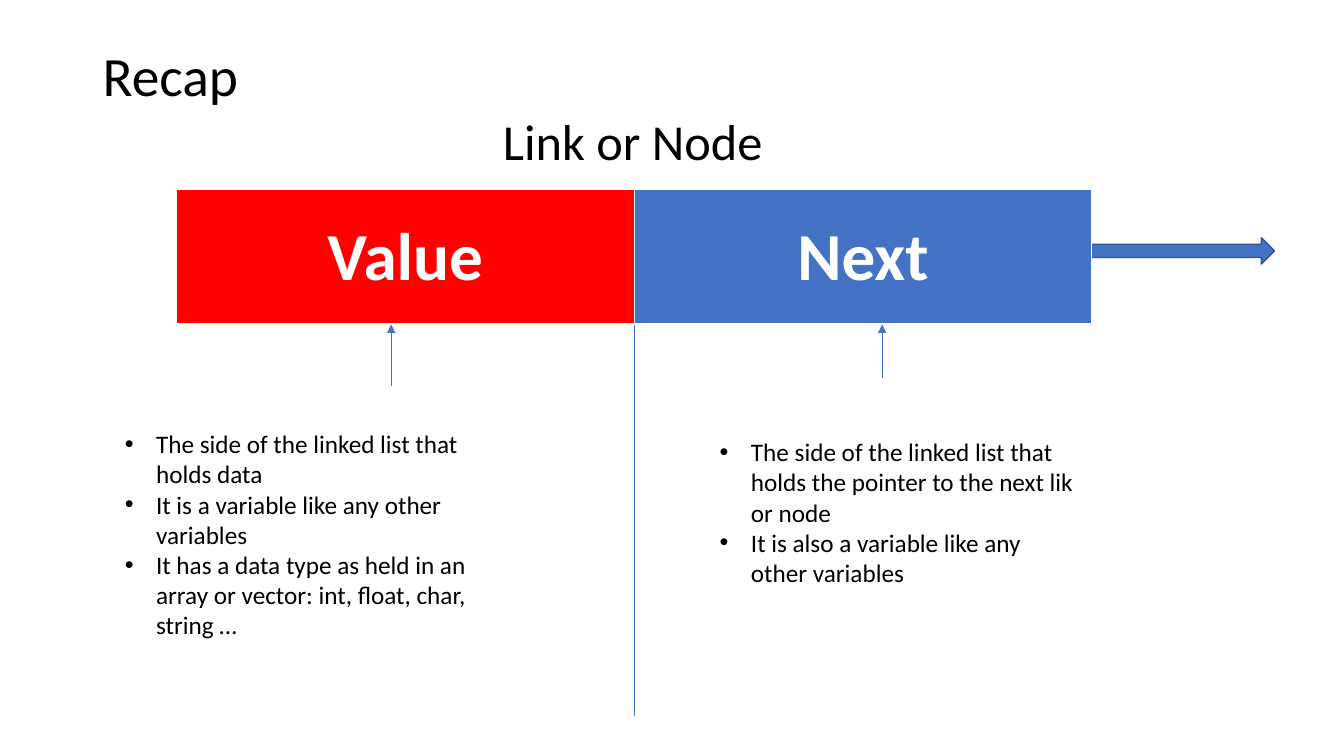
"""Build a recap slide showing the two halves of a linked list node."""
from lxml.etree import SubElement
from pptx import Presentation
from pptx.dml.color import RGBColor as Color
from pptx.enum.shapes import MSO_CONNECTOR as Connector, MSO_SHAPE as Shape
from pptx.enum.text import MSO_ANCHOR as Anchor, PP_ALIGN as Align
from pptx.oxml.ns import qn
from pptx.util import Inches, Pt

THEME = {
    "font": "Calibri", "black": Color.from_string("000000"), "white": Color.from_string("FFFFFF"),
    "red": Color.from_string("FF0000"), "blue": Color.from_string("4472C4"),
    "outline": Color.from_string("325491"),
    "title": Pt(39.6), "subtitle": Pt(36), "cell": Pt(48), "body": Pt(18), "hairline": Pt(0.5),
}

NODE_LEFT, NODE_TOP, HALF_WIDTH, NODE_HEIGHT = 1.75, 1.88, 4.54, 1.34
NODE_MIDDLE = NODE_LEFT + HALF_WIDTH
NODE_BOTTOM = NODE_TOP + NODE_HEIGHT
INDENT = Inches(0.31)

presentation = Presentation()
presentation.slide_width, presentation.slide_height = Inches(13.33), Inches(7.5)
slide = presentation.slides.add_slide(presentation.slide_layouts[6])


def style(paragraph, size, color="black", bold=False):
    """Apply the theme font to a paragraph."""
    paragraph.font.name = THEME["font"]
    paragraph.font.size = THEME[size]
    paragraph.font.color.rgb = THEME[color]
    paragraph.font.bold = bold


def add_text(box, lines, size, wrap=True, anchor=Anchor.TOP):
    """Add a text box and return its paragraphs."""
    frame = slide.shapes.add_textbox(*map(Inches, box)).text_frame
    frame.word_wrap = wrap
    frame.vertical_anchor = anchor
    frame.text = "\n".join(lines)
    for paragraph in frame.paragraphs:
        style(paragraph, size)
    return frame.paragraphs


pointer = slide.shapes.add_shape(Shape.RIGHT_ARROW, *map(Inches, (10.72, 2.36, 1.92, 0.26)))
pointer.shadow.inherit = False
pointer.fill.solid()
pointer.fill.fore_color.rgb = THEME["blue"]
pointer.line.color.rgb = THEME["outline"]
pointer.line.width = Pt(1)

title = add_text((0.92, 0.4, 11.5, 0.75), ["Recap"], "title", anchor=Anchor.MIDDLE)
title[0].line_spacing = 0.9

node = slide.shapes.add_table(
    1, 2, *map(Inches, (NODE_LEFT, NODE_TOP, 2 * HALF_WIDTH, NODE_HEIGHT))).table
for cell, label, color in zip(node.rows[0].cells, ("Value", "Next"), ("red", "blue")):
    cell.text = label
    cell.vertical_anchor = Anchor.MIDDLE
    paragraph = cell.text_frame.paragraphs[0]
    paragraph.alignment = Align.CENTER
    style(paragraph, "cell", "white", bold=True)
    properties = cell._tc.get_or_add_tcPr()
    for side, width in (("L", 1), ("R", 1), ("T", 1), ("B", 3)):
        border = SubElement(properties, qn(f"a:ln{side}"), w=str(Pt(width)))
        SubElement(SubElement(border, qn("a:solidFill")), qn("a:srgbClr"), val=str(THEME["white"]))
    cell.fill.solid()
    cell.fill.fore_color.rgb = THEME[color]

add_text((4.89, 1.04, 2.8, 0.71), ["Link or Node"], "subtitle", wrap=False)

for x, start, end, has_arrow in (
    (3.88, 3.83, NODE_BOTTOM, True),
    (8.75, 3.75, NODE_BOTTOM, True),
    (NODE_MIDDLE, NODE_BOTTOM, 7.1, False),
):
    connector = slide.shapes.add_connector(Connector.STRAIGHT, *map(Inches, (x, start, x, end)))
    connector.line.color.rgb = THEME["blue"]
    connector.line.width = THEME["hairline"]
    if has_arrow:
        SubElement(connector.line._get_or_add_ln(), qn("a:tailEnd"), type="triangle")
    SubElement(connector._element.spPr, qn("a:effectLst"))

for box, notes in (
    ((1.14, 4.2, 3.74, 2.22), [
        "The side of the linked list that holds data",
        "It is a variable like any other variables",
        "It has a data type as held in an array or vector: int, float, char, string …",
    ]),
    ((7.04, 4.28, 3.74, 1.62), [
        "The side of the linked list that holds the pointer to the next lik or node",
        "It is also a variable like any other variables",
    ]),
):
    for paragraph in add_text(box, notes, "body"):
        properties = paragraph._p.get_or_add_pPr()
        properties.set("marL", str(INDENT))
        properties.set("indent", str(-INDENT))
        bullet_font = properties.makeelement(qn("a:buFont"), typeface="Arial")
        bullet = properties.makeelement(qn("a:buChar"), char="•")
        properties.insert(0, bullet_font)
        properties.insert(1, bullet)

presentation.save("out.pptx")
